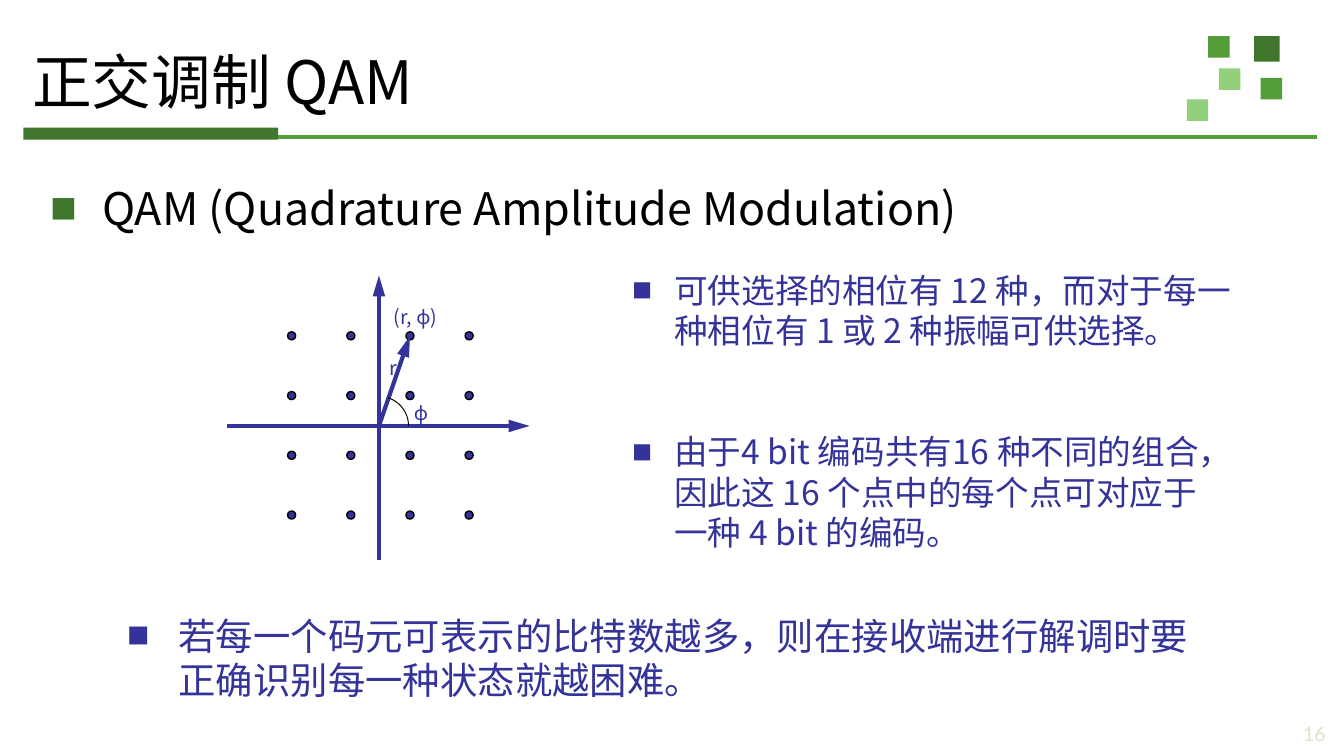
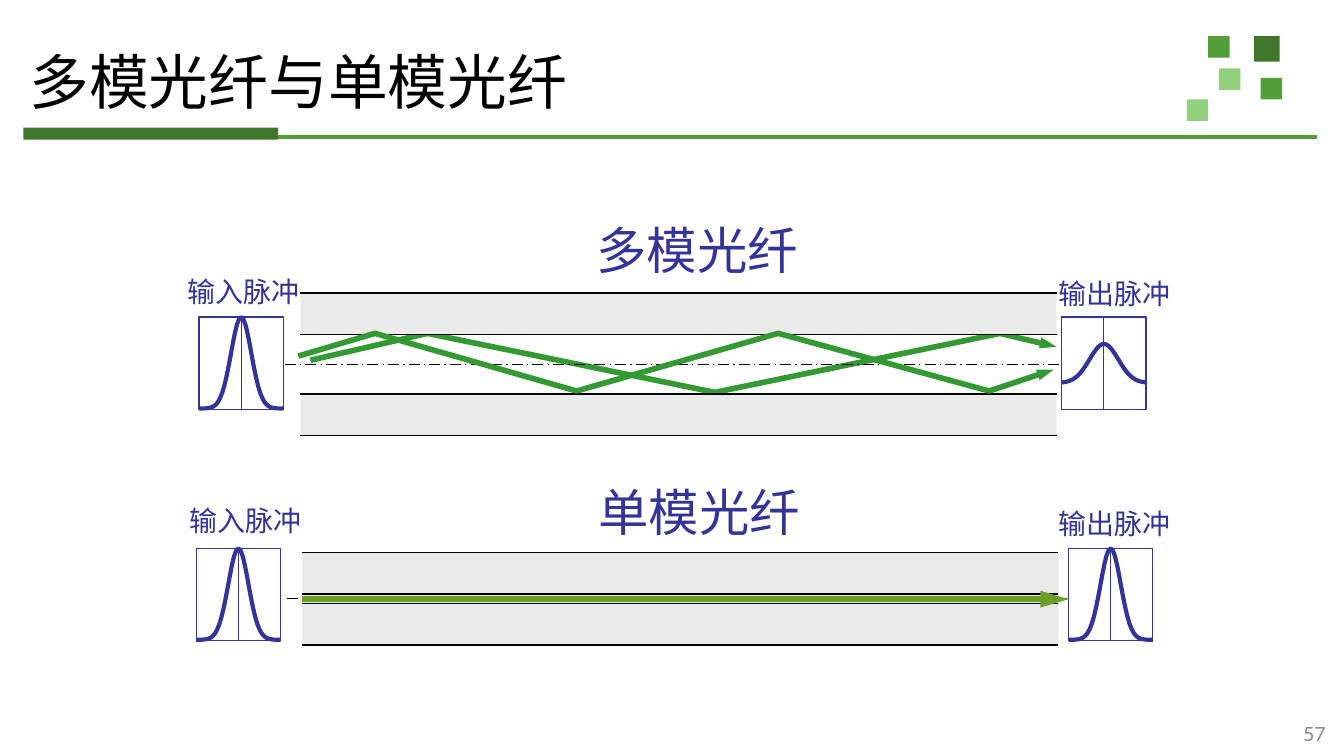
from math import cos, exp, radians, sin

from lxml.etree import SubElement as Sub
from pptx import Presentation
from pptx.dml.color import RGBColor
from pptx.enum.dml import MSO_LINE as Dash
from pptx.enum.shapes import MSO_CONNECTOR as Link, MSO_SHAPE as Kind
from pptx.enum.text import MSO_ANCHOR as Anchor, MSO_AUTO_SIZE as Fit, PP_ALIGN as Align
from pptx.oxml.ns import qn
from pptx.util import Pt

BLACK = RGBColor(0, 0, 0)
WHITE = RGBColor(0xFF, 0xFF, 0xFF)
BLUE = RGBColor(0x33, 0x33, 0x99)
GRAY = RGBColor(0xEA, 0xEA, 0xEA)
DARK = RGBColor(0x3F, 0x76, 0x2B)
GREEN = RGBColor(0x54, 0x9E, 0x39)
PALE = RGBColor(0x93, 0xD0, 0x7D)
RAY = RGBColor(0x33, 0x99, 0x33)
OLIVE = RGBColor(0x6B, 0x9F, 0x25)
FAINT = RGBColor(0xE0, 0xDF, 0xCC)
NUM = RGBColor(0x89, 0x89, 0x89)
SANS = "Noto Sans CJK SC"
LATO = "Lato"

WIDE = 405  # length of a fibre
SLAB = 22.3  # height of its cladding
LONG = {"w": "med", "len": "lg"}  # arrowheads
SLIM = {"w": "sm", "len": "med"}


def pts(*nums):
    return [Pt(n) for n in nums]


def write(frame, text, size=18, font=SANS, color=BLUE, align=Align.LEFT,
          hang=0, bullet=None, space=None):
    para = frame.paragraphs[0]
    para.alignment = align
    para.space_before = Pt(0)
    if space:
        para.line_spacing = space
    props = para._p.get_or_add_pPr()
    props.set("marL", str(Pt(hang)))
    props.set("indent", str(Pt(-hang)))
    if bullet is not None:
        tint = Sub(props, qn("a:buClr"))
        Sub(tint, qn("a:srgbClr"), val=str(bullet))
        Sub(props, qn("a:buSzPct"), val="60000")
        Sub(props, qn("a:buFont"), typeface=SANS)
        Sub(props, qn("a:buChar"), char="■")
    run = para.add_run()
    run.text = text
    run.font.size = Pt(size)
    run.font.name = font
    run.font.color.rgb = color
    Sub(run._r.get_or_add_rPr(), qn("a:ea"), typeface=SANS)


def label(page, box, text, wrap=False, **form):
    frame = page.shapes.add_textbox(*pts(*box)).text_frame
    frame.word_wrap = wrap
    frame.auto_size = Fit.SHAPE_TO_FIT_TEXT
    write(frame, text, **form)


def holder(shape, box, text, top=3, anchor=Anchor.TOP, **form):
    """Move a placeholder to its box and fill it."""
    shape.left, shape.top, shape.width, shape.height = pts(*box)
    frame = shape.text_frame
    frame.auto_size = Fit.NONE
    frame.vertical_anchor = anchor
    frame.margin_left = frame.margin_right = Pt(5)
    frame.margin_top, frame.margin_bottom = pts(top, 3)
    write(frame, text, **form)


def solid(page, box, fill, line=None, weight=0.75, kind=Kind.RECTANGLE):
    shape = page.shapes.add_shape(kind, *pts(*box))
    shape.shadow.inherit = False
    shape.fill.solid()
    shape.fill.fore_color.rgb = fill
    if line is None:
        shape.line.fill.background()
    else:
        shape.line.color.rgb = line
        shape.line.width = Pt(weight)
    return shape


def stroke(shape, color, weight, arrow=None, dash=None):
    shape.line.color.rgb = color
    shape.line.width = Pt(weight)
    if dash:
        shape.line.dash_style = dash
    if arrow:
        Sub(shape.line._get_or_add_ln(), qn("a:tailEnd"), type="triangle", **arrow)


def wire(page, start, end, color=BLACK, weight=0.75, **form):
    link = page.shapes.add_connector(Link.STRAIGHT, *pts(*start, *end))
    stroke(link, color, weight, **form)
    Sub(link._element.spPr, qn("a:effectLst"))
    return link


def trace(page, dots, color, weight, **form):
    """Draw an open outline through the dots."""
    first, *rest = [pts(*dot) for dot in dots]
    pen = page.shapes.build_freeform(*first)
    pen.add_line_segments(rest, close=False)
    shape = pen.convert_to_shape()
    shape.shadow.inherit = False
    shape.fill.background()
    stroke(shape, color, weight, **form)


def frame_page(deck, layout, box, text, num, tone, font=SANS):
    """Start a slide with its title, corner squares, rule and number."""
    page = deck.slides.add_slide(deck.slide_layouts[layout])
    for x, y, side, fill in ((671.8, 19.4, 13.7, DARK), (647.3, 19.4, 11.5, GREEN),
                             (675.4, 41.8, 11.5, GREEN), (653, 36.7, 11.5, PALE),
                             (635.8, 53.3, 11.5, PALE)):
        solid(page, (x, y, side, side), fill)
    solid(page, (12.6, 68.4, 136.4, 6.5), DARK)
    wire(page, (149, 73.4), (705.6, 73.4), GREEN, 2)
    holder(page.shapes.title, box, text, anchor=Anchor.MIDDLE, size=32,
           font=font, color=BLACK, hang=54, space=0.9)
    label(page, (675.4, 383, 41.8, 21.6), num, wrap=True, size=10.5,
          font=LATO, color=tone, align=Align.RIGHT)
    return page


def points(page, x, y):
    """Draw the QAM constellation with its axes and vector."""
    mid, base = x + 81.3, y + 80.6
    wire(page, (mid, y + 152.6), (mid, y), BLUE, 2.25, arrow=LONG)
    for row in range(4):
        for col in range(4):
            solid(page, (x + 32.4 + 31.7 * col, y + 30.2 + 32 * row, 4.3, 4.3),
                  BLUE, BLACK, kind=Kind.OVAL)
    wire(page, (x, base), (x + 162, base), BLUE, 2.25, arrow=LONG)
    wire(page, (mid, base), (x + 97.9, y + 32.4), BLUE, 2.25, arrow=LONG)
    turn = [radians(deg) for deg in range(0, 73, 6)]
    trace(page, [(mid + 15.9 * cos(a), base - 15.9 * sin(a)) for a in turn],
          BLACK, 0.5)
    for dx, dy, w, text in ((79.9, 39.6, 18.7, "r"), (92.9, 63.4, 20.9, "ϕ"),
                            (82.1, 12.2, 42, "(r, ϕ)")):
        label(page, (x + dx, y + dy, w, 20), text, size=10.5)


def pulse(page, x, y, text, at, weight, peak=0, tall=49, spread=0.12):
    """Draw a framed bell curve; spread is a share of the frame's width."""
    w, h = 45.2, 49.5
    box = solid(page, (x, y, w, h), WHITE, BLUE, weight)
    axis = wire(page, (x, y), (x, y + h), BLUE, 0.5)
    axis.begin_connect(box, 0)
    axis.end_connect(box, 2)
    steps = [n / 40 for n in range(41)]
    trace(page, [(x + w * t, y + peak + tall * (1 - exp(-((t - 0.5) / spread) ** 2 / 2)))
                 for t in steps], BLUE, 2.25)
    label(page, (*at, 75, 25.2), text, size=15)


def fibre(page, x, y, gap, text, rise, core=None):
    """Draw two cladding slabs around a core, with axis and name."""
    low = y + SLAB + gap
    if core is not None:
        solid(page, (x, y + SLAB, WIDE, gap), core)
    for top in (y, low):
        solid(page, (x, top, WIDE, SLAB), GRAY)
        for edge in (top, top + SLAB):
            wire(page, (x, edge), (x + WIDE, edge))
    axis = y + SLAB + gap / 2
    wire(page, (x - 8.4, axis), (x + WIDE + 6.4, axis), dash=Dash.LONG_DASH_DOT)
    label(page, (x + 151.5, y - rise, 123.8, 40.3), text, size=27, font=LATO)


def rays(page, x, y, dots):
    trace(page, [(x + dx, y + dy) for dx, dy in dots], RAY, 3, arrow=SLIM)


def qam(deck):
    page = frame_page(deck, 1, (12.2, 20.9, 567.4, 49.7), "正交调制 QAM", "16", FAINT)
    holder(page.placeholders[1], (22.3, 79.2, 596.9, 51.1),
           "QAM (Quadrature Amplitude Modulation)", top=17.5, size=24,
           color=BLACK, hang=27.5, bullet=DARK)
    points(page, 121.7, 147.6)
    for box, text, size, hang in (
            ((331.9, 141.1, 343.4, 51.1),
             "可供选择的相位有 12 种，而对于每一种相位有 1 或 2 种振幅可供选择。", 18, 22.3),
            ((331.9, 227.5, 333.4, 72.7),
             "由于4 bit 编码共有16 种不同的组合，因此这 16 个点中的每个点可对应于一种 4 bit 的编码。",
             18, 22.3),
            ((61.2, 324.7, 596.9, 55.4),
             "若每一个码元可表示的比特数越多，则在接收端进行解调时要正确识别每一种状态就越困难。",
             20, 27.4)):
        label(page, box, text, wrap=True, size=size, hang=hang, bullet=BLUE)


def modes(deck):
    page = frame_page(deck, 5, (10.8, 20.2, 693.4, 51.1), "多模光纤与单模光纤",
                      "57", NUM, font="Times New Roman")
    x, y = 162, 296
    fibre(page, x, y, 5, "单模光纤", 41.8, core=GRAY)
    pulse(page, 105.1, 293.8, "输入脉冲", (94.3, 266.4), 0.5)
    pulse(page, 572.4, 293.8, "输出脉冲", (560.2, 267.8), 0.5)
    wire(page, (x, y + 25), (x + 410.4, y + 25), OLIVE, 3, arrow=LONG)

    x, y = 161, 157
    rays(page, x, y, ((5.3, 36), (68, 21.6), (222, 53.2), (374.7, 21.6), (405, 28.8)))
    fibre(page, x, y, 31.7, "多模光纤", 43.2)
    pulse(page, 106.6, 169.9, "输入脉冲", (93.6, 143.3), 0.75)
    pulse(page, 568.8, 169.9, "输出脉冲", (560.2, 144.7), 0.75,
          peak=14.4, tall=20.9, spread=0.17)
    rays(page, x, y, ((-1.2, 33.8), (39.9, 21.6), (147.9, 52.5), (255.9, 21.6),
                      (368.9, 52.5), (403.5, 41)))


def main():
    deck = Presentation()
    deck.slide_width, deck.slide_height = pts(720, 405)
    qam(deck)
    modes(deck)
    deck.save("out.pptx")


if __name__ == "__main__":
    main()
